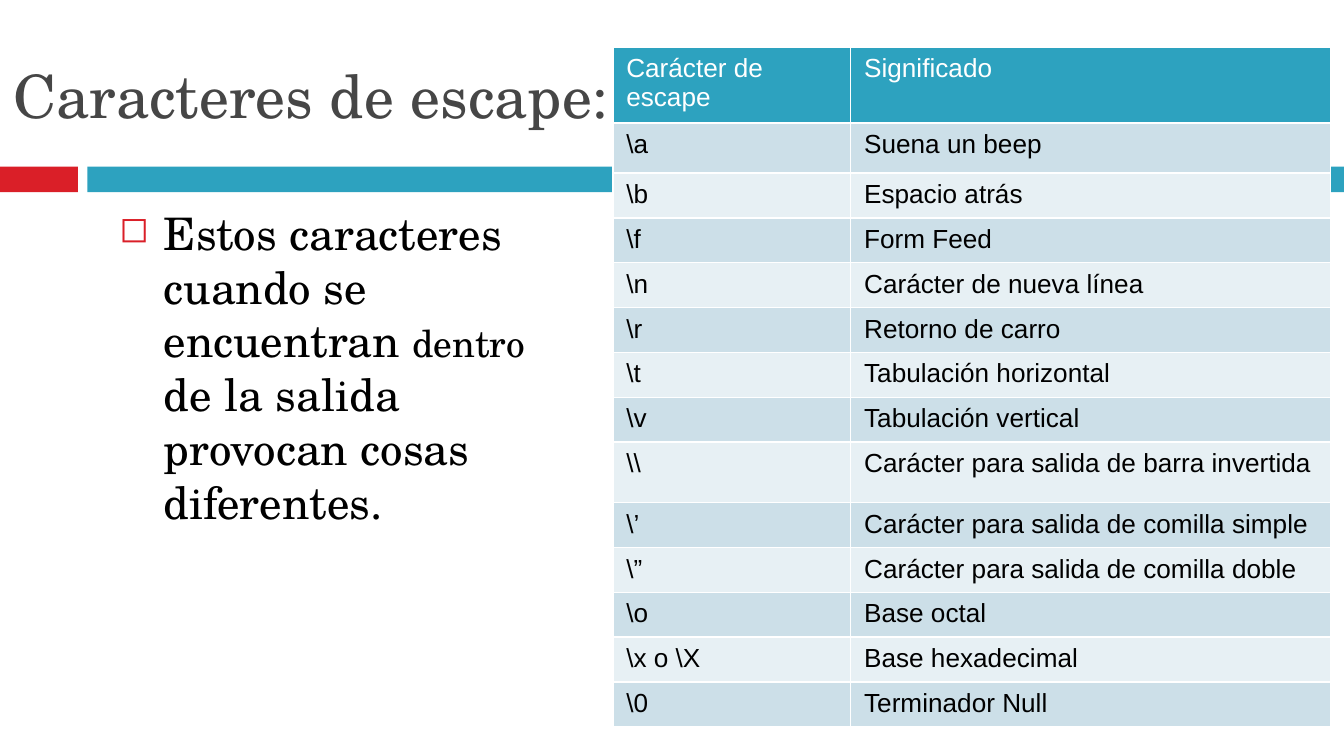
from dataclasses import dataclass

from lxml.etree import SubElement as Sub
from pptx import Presentation
from pptx.dml.color import RGBColor as Rgb
from pptx.enum.shapes import MSO_SHAPE as Kind
from pptx.enum.text import MSO_ANCHOR as Anchor, MSO_AUTO_SIZE as Fit, PP_ALIGN as Align
from pptx.oxml.ns import qn
from pptx.util import Inches, Pt


@dataclass(frozen=True)
class Theme:
    red: str = "DA1F28"
    teal: str = "2DA2BF"
    gray: str = "464646"
    black: str = "000000"
    white: str = "FFFFFF"
    dark: str = "CCDFE8"
    light: str = "E7F0F4"
    serif: str = "TeX Gyre Schola"
    sans: str = "Arial"
    head: int = 32
    body: int = 24
    small: int = 20
    cell: int = 14


@dataclass(frozen=True)
class Band:
    left: float
    width: float
    color: str


@dataclass(frozen=True)
class Escape:
    code: str
    sense: str
    height: float = 0.32


THEME = Theme()
BANDS = [Band(0, 0.58, THEME.red), Band(0.65, 9.35, THEME.teal)]
COLS = [1.77, 3.57]
ROWS = [
    Escape("Carácter de escape", "Significado", 0.53),
    Escape("\\a", "Suena un beep", 0.37),
    Escape("\\b", "Espacio atrás"),
    Escape("\\f", "Form Feed"),
    Escape("\\n", "Carácter de nueva línea"),
    Escape("\\r", "Retorno de carro"),
    Escape("\\t", "Tabulación horizontal"),
    Escape("\\v", "Tabulación vertical"),
    Escape("\\\\", "Carácter para salida de barra invertida", 0.45),
    Escape("\\’", "Carácter para salida de comilla simple"),
    Escape("\\”", "Carácter para salida de comilla doble"),
    Escape("\\o", "Base octal"),
    Escape("\\x o \\X", "Base hexadecimal"),
    Escape("\\0", "Terminador Null"),
]


def put(thing, form: dict) -> None:
    """Set each attribute named in the dict."""
    for key, value in form.items():
        setattr(thing, key, value)


def style(font, name: str, size: int, color: str) -> None:
    put(font, {"name": name, "size": Pt(size), "bold": False})
    font.color.rgb = Rgb.from_string(color)


def place(shape, left: float, top: float, width: float, height: float) -> None:
    put(shape, {"left": Inches(left), "top": Inches(top),
                "width": Inches(width), "height": Inches(height)})


def draw_band(slide, band: Band) -> None:
    box = slide.shapes.add_shape(Kind.RECTANGLE, Inches(band.left), Inches(1.24),
                                 Inches(band.width), Inches(0.19))
    box.shadow.inherit = False
    box.fill.solid()
    box.fill.fore_color.rgb = Rgb.from_string(band.color)
    box.line.fill.background()


def draw_title(slide, text: str) -> None:
    title = slide.shapes.title
    place(title, 0, -0.08, 8.92, 1.1)
    frame = title.text_frame
    put(frame, {"text": text, "vertical_anchor": Anchor.BOTTOM,
                "auto_size": Fit.NONE, "word_wrap": True})
    para = frame.paragraphs[0]
    para.alignment = Align.LEFT
    style(para.runs[0].font, THEME.serif, THEME.head, THEME.gray)


def add_bullet(para, mark: str, color: str) -> None:
    props = para._p.get_or_add_pPr()
    props.set("marL", str(Inches(0.5)))
    props.set("indent", str(Inches(-0.33)))
    tint = Sub(props, qn("a:buClr"))
    Sub(tint, qn("a:srgbClr"), val=color)
    Sub(props, qn("a:buSzPct"), val="80000")
    Sub(props, qn("a:buChar"), char=mark)


def draw_body(slide, parts: list[tuple[str, int]]) -> None:
    box = slide.shapes.add_textbox(0, 0, 0, 0)
    place(box, 0.62, 1.48, 3.49, 3.58)
    box.text_frame.word_wrap = True
    para = box.text_frame.paragraphs[0]
    add_bullet(para, "◻", THEME.red)
    for text, size in parts:
        run = para.add_run()
        run.text = text
        style(run.font, THEME.serif, size, THEME.black)


def draw_cell(cell, text: str, row: int) -> None:
    head = row == 0
    cell.fill.solid()
    shade = THEME.teal if head else THEME.dark if row % 2 else THEME.light
    cell.fill.fore_color.rgb = Rgb.from_string(shade)
    cell.text = text
    style(cell.text_frame.paragraphs[0].runs[0].font, THEME.sans, THEME.cell,
          THEME.white if head else THEME.black)


def draw_table(slide, rows: list[Escape]) -> None:
    """Fill the table; its default style supplies the white borders."""
    high = sum(row.height for row in rows)
    table = slide.shapes.add_table(len(rows), len(COLS), Inches(4.56), Inches(0.35),
                                   Inches(sum(COLS)), Inches(high)).table
    for col, width in zip(table.columns, COLS):
        col.width = Inches(width)
    for i, row in enumerate(rows):
        table.rows[i].height = Inches(row.height)
        for j, text in enumerate((row.code, row.sense)):
            draw_cell(table.cell(i, j), text, i)


def main() -> None:
    deck = Presentation()
    put(deck, {"slide_width": Inches(10), "slide_height": Inches(10 * 9 / 16)})
    slide = deck.slides.add_slide(deck.slide_layouts[5])

    # Bands below the title
    for band in BANDS:
        draw_band(slide, band)

    # Title and bullet text
    draw_title(slide, "Caracteres de escape:")
    draw_body(slide, [
        ("Estos caracteres cuando se encuentran ", THEME.body),
        ("dentro", THEME.small),
        (" de la salida provocan cosas diferentes.", THEME.body),
    ])

    # Table of escape codes
    draw_table(slide, ROWS)
    deck.save("out.pptx")


if __name__ == "__main__":
    main()
